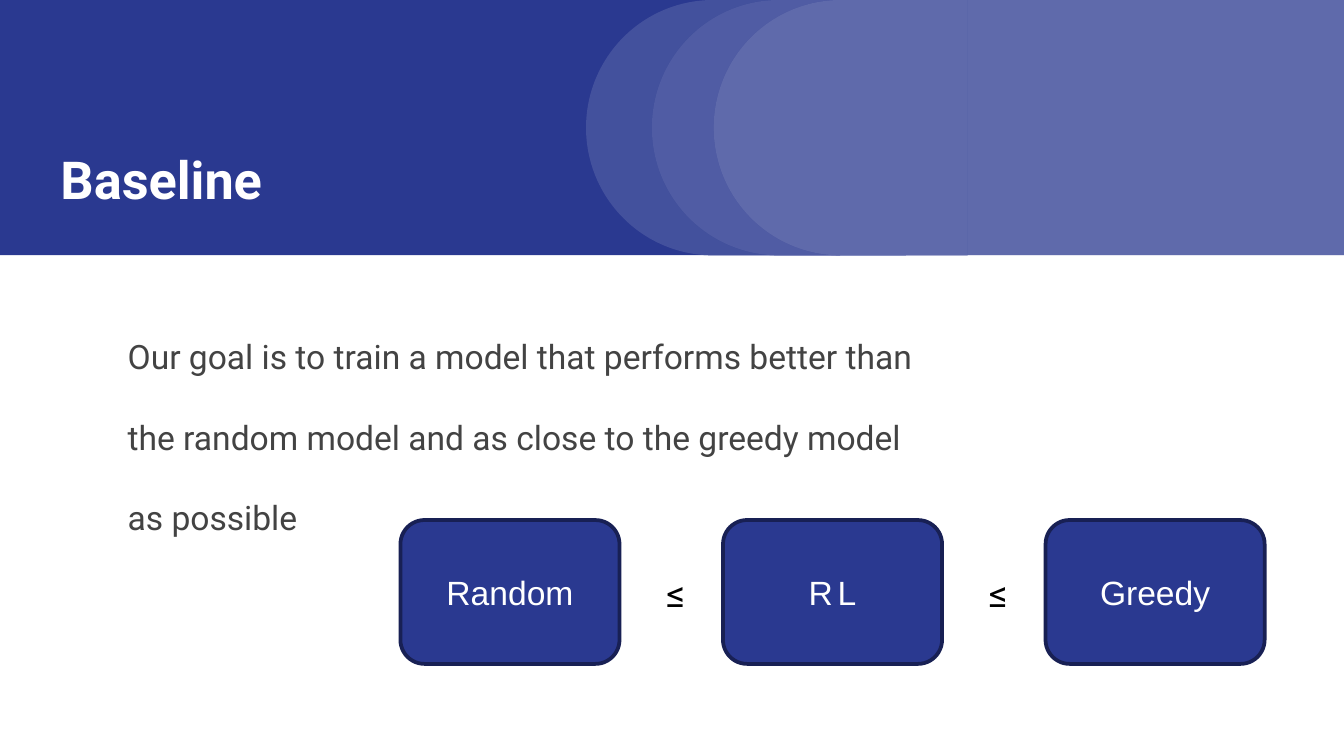
from lxml import etree
from pptx import Presentation
from pptx.dml.color import RGBColor
from pptx.enum.shapes import MSO_SHAPE
from pptx.enum.text import MSO_ANCHOR, MSO_AUTO_SIZE, PP_ALIGN
from pptx.oxml.ns import qn
from pptx.util import Inches, Pt

RECTANGLE = MSO_SHAPE.RECTANGLE
ROUNDED = MSO_SHAPE.ROUNDED_RECTANGLE
DELAY = MSO_SHAPE.FLOWCHART_DELAY
TOP, MIDDLE, BOTTOM = MSO_ANCHOR.TOP, MSO_ANCHOR.MIDDLE, MSO_ANCHOR.BOTTOM
LEFT, CENTER = PP_ALIGN.LEFT, PP_ALIGN.CENTER
NO_AUTOFIT = MSO_AUTO_SIZE.NONE

BLUE = RGBColor(0x2A, 0x39, 0x90)
NAVY = RGBColor(0x18, 0x20, 0x54)
WHITE = RGBColor(0xFF, 0xFF, 0xFF)
BLACK = RGBColor(0, 0, 0)
GRAY = RGBColor(0x43, 0x43, 0x43)

BANNER_HEIGHT = 1.9
MODELS = [["Random"], ["R", " ", "L"], ["Greedy"]]
MODEL_LEFT, MODEL_STEP = 2.98, 2.4
SIGN_LEFT = 4.86


class SlideBuilder:
    heading_font = "Roboto"
    label_font = "Arial"

    def __init__(self, page):
        self.page = page

    def banner_part(self, kind, left, width, color, opacity=100):
        part = self.page.shapes.add_shape(
            kind, Inches(left), 0, Inches(width), Inches(BANNER_HEIGHT))
        part.shadow.inherit = False
        part.fill.solid()
        part.fill.fore_color.rgb = color
        part.line.fill.background()
        if opacity < 100:
            color_tag = part.fill._xPr.find(".//" + qn("a:srgbClr"))
            etree.SubElement(color_tag, qn("a:alpha"), val=str(opacity * 1000))
        return part

    def crescent(self, left, opacity):
        for color, strength in ((BLUE, 100), (WHITE, opacity)):
            self.banner_part(DELAY, left, 1.89, color, strength).rotation = 180

    def frame(self, box, anchor, vertical_inset=0.1):
        frame = box.text_frame
        frame.word_wrap = True
        frame.auto_size = NO_AUTOFIT
        frame.vertical_anchor = anchor
        frame.margin_left = frame.margin_right = Inches(0.1)
        frame.margin_top = frame.margin_bottom = Inches(vertical_inset)
        return frame

    def style(self, para, font, size, color, align, bold=False):
        para.alignment = align
        for span in para.runs:
            span.font.name = font
            span.font.size = Pt(size)
            span.font.color.rgb = color
            span.font.bold = bold

    def placeholder(self, index, left, top, width, height, anchor, text):
        box = self.page.placeholders[index]
        box.left, box.top = Inches(left), Inches(top)
        box.width, box.height = Inches(width), Inches(height)
        self.page.shapes._spTree.append(box._element)
        frame = self.frame(box, anchor)
        frame.text = text
        return frame

    def title(self, text):
        frame = self.placeholder(0, 0.35, 0.16, 3.89, 1.5, BOTTOM, text)
        self.style(frame.paragraphs[0], self.heading_font, 28, WHITE, LEFT, True)

    def body(self, lines):
        frame = self.placeholder(1, 0.35, 2.1, 9.29, 3.27, TOP, "\n".join(lines))
        for para in frame.paragraphs:
            self.style(para, self.heading_font, 18, GRAY, LEFT)
            para.line_spacing = 2.0
            para.space_before = Pt(0)
            properties = para._p.get_or_add_pPr()
            properties.set("marL", str(Inches(0.5)))
            properties.set("indent", "0")
            etree.SubElement(properties, qn("a:buNone"))

    def model(self, left, parts):
        box = self.page.shapes.add_shape(
            ROUNDED, Inches(left), Inches(3.87), Inches(1.63), Inches(1.07))
        box.shadow.inherit = False
        box.adjustments[0] = 0.167
        box.fill.solid()
        box.fill.fore_color.rgb = BLUE
        box.line.color.rgb = NAVY
        box.line.width = Pt(2)
        para = self.frame(box, MIDDLE, 0.05).paragraphs[0]
        for part in parts:
            para.add_run().text = part
        self.style(para, self.label_font, 18, WHITE, CENTER)
        for span in para.runs:
            if span.text == " ":
                span.font.size = Pt(9)

    def sign(self, left, text):
        box = self.page.shapes.add_textbox(
            Inches(left), Inches(4.16), Inches(0.27), Inches(0.5))
        frame = self.frame(box, MIDDLE)
        frame.text = text
        self.style(frame.paragraphs[0], self.heading_font, 20, BLACK, CENTER)


def main():
    deck = Presentation()
    deck.slide_width = Inches(10)
    deck.slide_height = deck.slide_width * 9 // 16
    builder = SlideBuilder(deck.slides.add_slide(deck.slide_layouts[1]))

    builder.banner_part(RECTANGLE, 0, 10, BLUE)
    builder.banner_part(RECTANGLE, 7.16, 2.84, WHITE, 25)
    for left, opacity in ((4.36, 12), (4.85, 18), (5.31, 25)):
        builder.crescent(left, opacity)

    builder.title("Baseline")
    builder.body([
        "Our goal is to train a model that performs better than",
        "the random model and as close to the greedy model",
        "as possible",
    ])
    for index, parts in enumerate(MODELS):
        builder.model(MODEL_LEFT + index * MODEL_STEP, parts)
    for index in range(len(MODELS) - 1):
        builder.sign(SIGN_LEFT + index * MODEL_STEP, "≤")

    deck.save("out.pptx")


if __name__ == "__main__":
    main()
